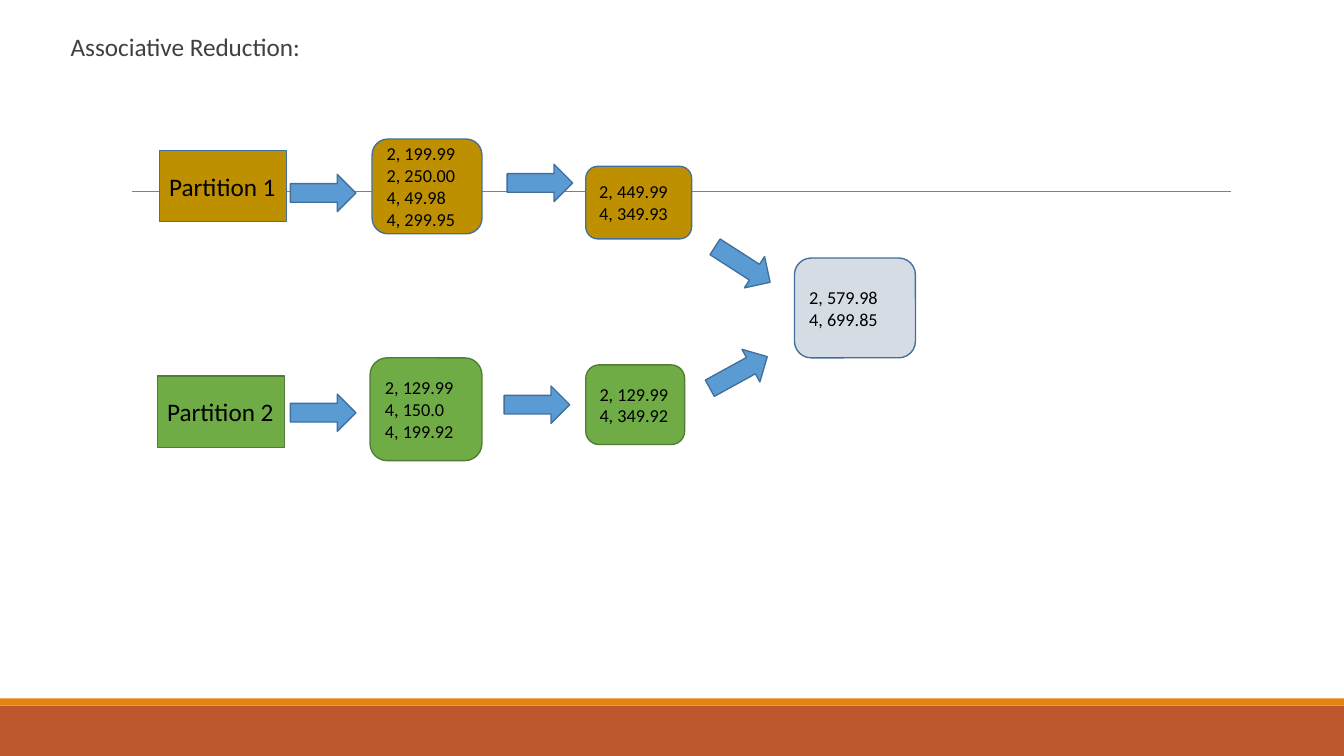
from dataclasses import dataclass

from lxml.etree import SubElement
from pptx import Presentation
from pptx.dml.color import RGBColor
from pptx.enum.shapes import MSO_CONNECTOR, MSO_SHAPE
from pptx.enum.text import MSO_ANCHOR, PP_ALIGN
from pptx.oxml.ns import qn
from pptx.util import Inches, Pt


@dataclass(frozen=True)
class Theme:
    font: str = "Calibri"
    label_size: float = 18
    record_size: float = 13
    outline: float = 0.96
    rule_width: float = 0.5
    text: str = "000000"
    title: str = "404040"
    rule: str = "808080"
    footer: str = "BD582C"
    footer_edge: str = "E48312"
    gold: str = "BE9000"
    green: str = "6FAC46"
    pale: str = "D5DCE4"
    arrow: str = "5B9BD4"
    blue_line: str = "41709C"
    green_line: str = "507D31"


THEME = Theme()


@dataclass(frozen=True)
class Box:
    left: float
    top: float
    width: float
    height: float
    fill: str
    line: str | None = None
    lines: tuple[str, ...] = ()
    size: float = THEME.record_size
    kind: MSO_SHAPE = MSO_SHAPE.ROUNDED_RECTANGLE
    angle: float = 0


def partition(left: float, top: float, name: str, fill: str, line: str) -> Box:
    return Box(left, top, 1.26, 0.71, fill, line, (name,),
               THEME.label_size, MSO_SHAPE.RECTANGLE)


def arrow(left: float, top: float, angle: float = 0) -> Box:
    return Box(left, top, 0.65, 0.37, THEME.arrow, THEME.blue_line,
               kind=MSO_SHAPE.RIGHT_ARROW, angle=angle)


def band(top: float, height: float, fill: str) -> Box:
    return Box(0, top, 13.33, height, fill, kind=MSO_SHAPE.RECTANGLE)


GOLD = (THEME.gold, THEME.blue_line)
GREEN = (THEME.green, THEME.green_line)

FOOTER = [band(7, 0.5, THEME.footer), band(6.93, 0.07, THEME.footer_edge)]

FLOW = [
    # Partitions
    partition(1.58, 1.49, "Partition 1", *GOLD),
    partition(1.56, 3.73, "Partition 2", *GREEN),
    # Records in each partition
    Box(3.69, 1.38, 1.09, 0.94, *GOLD,
        ("2, 199.99", "2, 250.00", "4, 49.98", "4, 299.95")),
    Box(3.67, 3.55, 1.11, 1.02, *GREEN,
        ("2, 129.99", "4, 150.0", "4, 199.92")),
    # Reduced within each partition
    Box(5.81, 1.65, 1.05, 0.72, *GOLD, ("2, 449.99", "4, 349.93")),
    Box(5.81, 3.62, 0.98, 0.79, *GREEN, ("2, 129.99", "4, 349.92")),
    # Reduced across partitions
    Box(7.88, 2.56, 1.2, 0.99, THEME.pale, THEME.blue_line,
        ("2, 579.98", "4, 699.85")),
    # Arrows between the steps
    arrow(2.88, 1.73),
    arrow(2.88, 3.91),
    arrow(5.03, 1.63),
    arrow(5, 3.83),
    arrow(7.04, 2.44, 32.8),
    arrow(7, 3.51, -28.8),
]


def write(tf, lines: tuple[str, ...], size: float, color: str) -> None:
    tf.word_wrap = False
    tf.margin_top = tf.margin_bottom = 0
    for i, line in enumerate(lines):
        p = tf.paragraphs[0] if i == 0 else tf.add_paragraph()
        p.text = line
        p.alignment = PP_ALIGN.LEFT
        p.font.name = THEME.font
        p.font.size = Pt(size)
        p.font.color.rgb = RGBColor.from_string(color)


def draw_box(slide, box: Box) -> None:
    sp = slide.shapes.add_shape(box.kind, Inches(box.left), Inches(box.top),
                                Inches(box.width), Inches(box.height))
    sp.shadow.inherit = False
    sp.rotation = box.angle
    sp.fill.solid()
    sp.fill.fore_color.rgb = RGBColor.from_string(box.fill)
    if box.line:
        sp.line.color.rgb = RGBColor.from_string(box.line)
        sp.line.width = Pt(THEME.outline)
    else:
        sp.line.fill.background()
    if box.lines:
        tf = sp.text_frame
        tf.vertical_anchor = MSO_ANCHOR.MIDDLE
        tf.margin_left, tf.margin_right = Inches(0.1), 0
        write(tf, box.lines, box.size, THEME.text)


def draw_rule(slide) -> None:
    rule = slide.shapes.add_connector(MSO_CONNECTOR.STRAIGHT, Inches(1.31),
                                      Inches(1.9), Inches(12.21), Inches(1.9))
    rule.line.color.rgb = RGBColor.from_string(THEME.rule)
    rule.line.width = Pt(THEME.rule_width)
    SubElement(rule._element.spPr, qn("a:effectLst"))


def draw_title(slide) -> None:
    sp = slide.shapes.add_textbox(Inches(0.7), Inches(0.28),
                                  Inches(2.35), Inches(0.33))
    tf = sp.text_frame
    tf.margin_left = tf.margin_right = 0
    tf.vertical_anchor = MSO_ANCHOR.BOTTOM
    write(tf, ("Associative Reduction:",), THEME.label_size, THEME.title)


def main() -> None:
    prs = Presentation()
    prs.slide_width, prs.slide_height = Inches(13.33), Inches(7.5)
    slide = prs.slides.add_slide(prs.slide_layouts[6])

    # Background bands and rule
    for box in FOOTER:
        draw_box(slide, box)
    draw_rule(slide)

    # Reduction flow and title
    for box in FLOW:
        draw_box(slide, box)
    draw_title(slide)

    prs.save("out.pptx")


if __name__ == "__main__":
    main()
